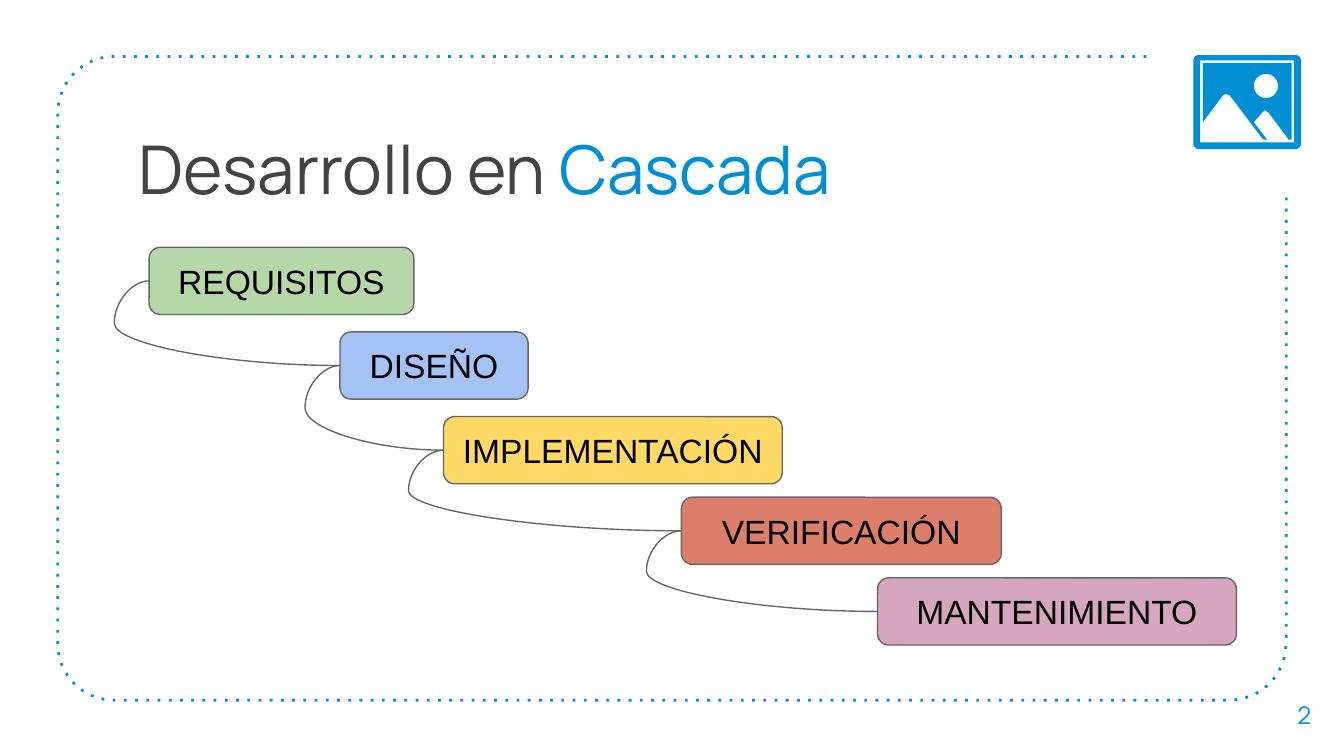
from dataclasses import dataclass
from math import cos, radians, sin

from lxml.etree import SubElement
from pptx import Presentation
from pptx.dml.color import RGBColor
from pptx.enum.shapes import MSO_CONNECTOR, MSO_SHAPE
from pptx.enum.text import MSO_ANCHOR as Anchor, MSO_AUTO_SIZE as AutoSize, PP_ALIGN as Align
from pptx.oxml.ns import qn
from pptx.shapes.autoshape import Shape
from pptx.shapes.connector import Connector
from pptx.slide import Slide
from pptx.text.text import TextFrame, _Paragraph as Paragraph
from pptx.util import Inches, Pt

Point = tuple[float, float]


@dataclass(frozen=True)
class Theme:
    accent: str = "008FD3"
    dark: str = "434343"
    outline: str = "666666"
    black: str = "000000"
    title_font: str = "Manrope"
    body_font: str = "Arial"
    title_size: float = 36
    stage_size: float = 18
    number_size: float = 13
    frame_width: float = 1.5
    outline_width: float = 0.75


@dataclass(frozen=True)
class Stage:
    name: str
    left: float
    top: float
    width: float
    fill: str


THEME = Theme()
STAGE_HEIGHT = 0.5
CURVE_BULGE = 0.26
STAGES = [
    Stage("REQUISITOS", 1.11, 1.84, 1.97, "B6D7A8"),
    Stage("DISEÑO", 2.53, 2.47, 1.40, "A4C2F4"),
    Stage("IMPLEMENTACIÓN", 3.30, 3.10, 2.52, "FFD966"),
    Stage("VERIFICACIÓN", 5.07, 3.70, 2.38, "DD7E6B"),
    Stage("MANTENIMIENTO", 6.53, 4.30, 2.67, "D5A6BD"),
]


def color(value: str) -> RGBColor:
    return RGBColor.from_string(value)


def add_run(para: Paragraph, text: str, font: str, size: float, fill: str) -> None:
    span = para.add_run()
    span.text = text
    span.font.name = font
    span.font.size = Pt(size)
    span.font.color.rgb = color(fill)


def prepare_text(frame: TextFrame, anchor: Anchor, align: Align) -> Paragraph:
    """Set even insets and alignment, and return the first paragraph."""
    frame.word_wrap = True
    frame.auto_size = AutoSize.NONE
    frame.vertical_anchor = anchor
    frame.margin_left = frame.margin_right = Inches(0.1)
    frame.margin_top = frame.margin_bottom = Inches(0.1)
    para = frame.paragraphs[0]
    para.alignment = align
    return para


def arc(center: Point, radius: float, start: int, end: int, steps: int = 8) -> list[Point]:
    """Points along an arc; degrees run clockwise from the right."""
    angles = [radians(start + (end - start) * i / steps) for i in range(steps + 1)]
    return [(center[0] + radius * cos(a), center[1] + radius * sin(a)) for a in angles]


def rounded_box(left: float, top: float, right: float, bottom: float, radius: float) -> list[Point]:
    near_x, far_x = left + radius, right - radius
    near_y, far_y = top + radius, bottom - radius
    corners = [(near_x, near_y), (far_x, near_y), (far_x, far_y), (near_x, far_y)]
    return [
        point
        for i, corner in enumerate(corners)
        for point in arc(corner, radius, 180 + 90 * i, 270 + 90 * i)
    ]


def draw_outline(page: Slide, contours: list[list[Point]], close: bool) -> Shape:
    scaled = [[(Inches(x), Inches(y)) for x, y in contour] for contour in contours]
    builder = page.shapes.build_freeform(*scaled[0][0])
    builder.add_line_segments(scaled[0][1:], close=close)
    for contour in scaled[1:]:
        builder.move_to(*contour[0])
        builder.add_line_segments(contour[1:], close=close)
    shape = builder.convert_to_shape()
    shape.shadow.inherit = False
    return shape


def add_frame(page: Slide) -> None:
    left, top, right, bottom, radius = 0.43, 0.42, 9.57, 5.21, 0.42
    points = [
        (8.53, top),
        *arc((left + radius, top + radius), radius, 270, 180),
        *arc((left + radius, bottom - radius), radius, 180, 90),
        *arc((right - radius, bottom - radius), radius, 90, 0),
        (right, 1.46),
    ]
    frame = draw_outline(page, [points], close=False)
    frame.fill.background()
    frame.line.color.rgb = color(THEME.accent)
    frame.line.width = Pt(THEME.frame_width)
    SubElement(frame._element.spPr.find(qn("a:ln")), qn("a:prstDash"), val="dot")


def add_picture_icon(page: Slide) -> None:
    border = rounded_box(8.88, 0.41, 9.68, 1.11, 0.04)
    opening = [(9.63, 0.45), (9.63, 1.06), (8.93, 1.06), (8.93, 0.45)]
    sun = arc((9.42, 0.64), 0.09, 0, 360, 32)
    sky = [
        (8.95, 0.47), (8.95, 0.91), (9.10, 0.71), (9.12, 0.70), (9.15, 0.71),
        (9.40, 1.04), (9.43, 1.04), (9.33, 0.91), (9.39, 0.84), (9.41, 0.82),
        (9.44, 0.84), (9.59, 1.04), (9.61, 1.04), (9.61, 0.47),
    ]
    for contours in ([opening, border], [sun, sky]):
        part = draw_outline(page, contours, close=True)
        part.fill.solid()
        part.fill.fore_color.rgb = color(THEME.accent)
        part.line.fill.background()


def add_title(page: Slide) -> None:
    title = page.shapes.title
    title.left, title.top = Inches(0.93), Inches(0.85)
    title.width, title.height = Inches(6.89), Inches(0.86)
    para = prepare_text(title.text_frame, Anchor.TOP, Align.LEFT)
    add_run(para, "Desarrollo en ", THEME.title_font, THEME.title_size, THEME.dark)
    add_run(para, "Cascada", THEME.title_font, THEME.title_size, THEME.accent)


def add_page_number(page: Slide) -> None:
    box = page.shapes.add_textbox(Inches(9.41), Inches(5.02), Inches(0.59), Inches(0.6))
    para = prepare_text(box.text_frame, Anchor.MIDDLE, Align.CENTER)
    add_run(para, "2", THEME.title_font, THEME.number_size, THEME.accent)


def style_outline(item: Shape | Connector) -> None:
    item.line.color.rgb = color(THEME.outline)
    item.line.width = Pt(THEME.outline_width)


def add_stage(page: Slide, stage: Stage) -> Shape:
    box = page.shapes.add_shape(
        MSO_SHAPE.ROUNDED_RECTANGLE,
        Inches(stage.left), Inches(stage.top), Inches(stage.width), Inches(STAGE_HEIGHT),
    )
    box.shadow.inherit = False
    box.fill.solid()
    box.fill.fore_color.rgb = color(stage.fill)
    style_outline(box)
    para = prepare_text(box.text_frame, Anchor.MIDDLE, Align.CENTER)
    add_run(para, stage.name, THEME.body_font, THEME.stage_size, THEME.black)
    return box


def join_stages(page: Slide, upper: Shape, lower: Shape) -> None:
    """Curve from left side to left side, bulging out past the upper box."""
    curve = page.shapes.add_connector(MSO_CONNECTOR.CURVE, 0, 0, 0, 0)
    curve.begin_connect(upper, 1)
    curve.end_connect(lower, 1)
    style_outline(curve)
    properties = curve._element.spPr
    SubElement(properties, qn("a:effectLst"))
    guides = properties.find(qn("a:prstGeom")).get_or_add_avLst()
    bend = round(-CURVE_BULGE * Inches(1) / curve.width * 100000)
    SubElement(guides, qn("a:gd"), name="adj1", fmla=f"val {bend}")


def main() -> None:
    deck = Presentation()
    deck.slide_width = Inches(10)
    deck.slide_height = deck.slide_width * 9 // 16
    page = deck.slides.add_slide(deck.slide_layouts[5])
    add_frame(page)
    add_title(page)
    add_page_number(page)
    add_picture_icon(page)
    boxes = [add_stage(page, stage) for stage in STAGES]
    for upper, lower in zip(boxes, boxes[1:]):
        join_stages(page, upper, lower)
    deck.save("out.pptx")


if __name__ == "__main__":
    main()
